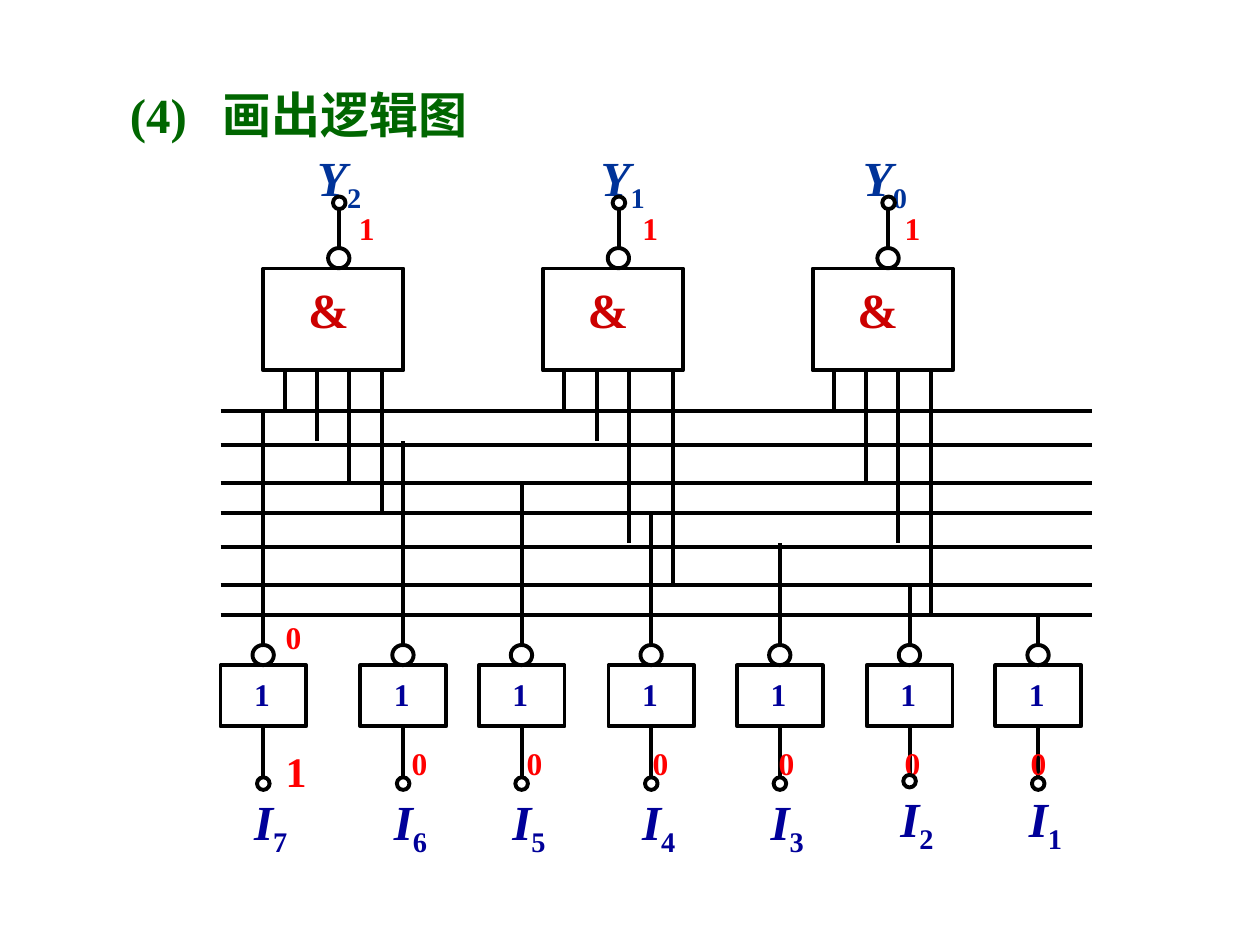
import pptx
import pptx.util
import pptx.dml.color
import pptx.enum.shapes
import pptx.enum.text
import lxml.etree
from pptx.oxml.ns import qn

Pt = pptx.util.Pt
RGB = pptx.dml.color.RGBColor.from_string
MSO_SHAPE = pptx.enum.shapes.MSO_SHAPE
COLORS = {"title": "006600", "value": "FF0000", "input": "000099",
          "output": "003399", "gate": "CC0000", "line": "000000"}

deck = pptx.Presentation()
deck.slide_width, deck.slide_height = Pt(720), Pt(540)
slide = deck.slides.add_slide(deck.slide_layouts[5])
shapes = slide.shapes


def write(text, left, top, width, height, size=18, color="value",
          subscript="", box=None):
    """Write bold text, with an italic letter when it carries a subscript."""
    if box is None:
        box = shapes.add_textbox(0, 0, 0, 0)
    box.left, box.top, box.width, box.height = Pt(left), Pt(top), Pt(width), Pt(height)
    frame = box.text_frame
    frame.word_wrap = False
    frame.auto_size = pptx.enum.text.MSO_AUTO_SIZE.NONE
    frame.vertical_anchor = pptx.enum.text.MSO_ANCHOR.TOP
    frame.margin_top = Pt(3.6 + size * 0.1)
    paragraph = frame.paragraphs[0]
    paragraph.alignment = pptx.enum.text.PP_ALIGN.LEFT
    for part in filter(None, (text, subscript)):
        run = paragraph.add_run()
        run.text = part
        run.font.name, run.font.size, run.font.bold = "Times New Roman", Pt(size), True
        run.font.color.rgb = RGB(COLORS[color])
        run.font.italic = bool(subscript) and part is text
    if subscript:
        run._r.get_or_add_rPr().set("baseline", "-25000")
    return paragraph


def wire(x1, y1, x2, y2):
    line = shapes.add_connector(pptx.enum.shapes.MSO_CONNECTOR.STRAIGHT,
                                Pt(x1), Pt(y1), Pt(x2), Pt(y2))
    line.line.color.rgb = RGB(COLORS["line"])
    line.line.width = Pt(2.25)
    lxml.etree.SubElement(line._element.spPr, qn("a:effectLst"))


# Title, with a tab stop between number and heading
heading = write("(4)\t画出逻辑图", 67, 41.8, 323, 41, size=28, color="title",
                box=shapes.title)
tabs = lxml.etree.SubElement(heading._p.get_or_add_pPr(), qn("a:tabLst"))
lxml.etree.SubElement(tabs, qn("a:tab"), pos=str(Pt(53)), algn="l")

# Bus lines, and the height at which wires reach each of them
for bus_y in (234.7, 254.2, 275.8, 293, 312.5, 334.1, 351.4):
    wire(126, bus_y, 624.2, bus_y)
taps = {7: 234.7, 6: 252, 5: 275.8, 4: 293, 3: 310.3, 2: 334.1, 1: 351.4}

outlines = []

# NAND gates: output, left edge, label left, last pin offset, inputs
gates = [("2", 150.5, 174.2, 67.7, (7, 6, 5, 4)),
         ("1", 310.3, 336.2, 74.2, (7, 6, 3, 2)),
         ("0", 464.4, 486, 67.7, (7, 5, 3, 1))]
for output, left, label_left, last_pin, inputs in gates:
    center = left + 43.2
    outlines += [(MSO_SHAPE.RECTANGLE, left, 153.4, 80, 58.3),
                 (MSO_SHAPE.OVAL, center - 6.2, 141.8, 12.2, 11.5),
                 (MSO_SHAPE.OVAL, center - 3.4, 112.3, 7.2, 7.2)]
    wire(center, 141.8, center, 118.1)
    for pin, source in zip((12.2, 30.6, 49, last_pin), inputs):
        wire(left + pin, 211.7, left + pin, taps[source])
    write("&", left + 18.5, 153.4, 43.2, 41, size=28, color="gate")
    write("Y", label_left, 77.8, 41, 41, size=28, color="output", subscript=output)
    write("1", label_left + 23.8, 113.8, 23.8, 28.1)

# Inverters: input, center, value, value left, value size, label top, terminal top
inverters = [(7, 150.5, "1", 156.2, 24, 445.7, 444.2),
             (6, 230.4, "0", 228.2, 18, 445.7, 444.2),
             (5, 298.1, "0", 293.8, 18, 445.7, 444.2),
             (4, 372.2, "0", 365.8, 18, 445.7, 444.2),
             (3, 445.7, "0", 437.8, 18, 445.7, 444.2),
             (2, 519.8, "0", 509.8, 18, 444.2, 442.8),
             (1, 593.3, "0", 581.8, 18, 444.2, 444.2)]
for number, center, value, value_left, size, label_top, terminal_top in inverters:
    outlines += [(MSO_SHAPE.RECTANGLE, center - 24.5, 380.2, 49, 34.8),
                 (MSO_SHAPE.OVAL, center - 6.2, 368.6, 12.2, 11.5),
                 (MSO_SHAPE.OVAL, center - 3.6, terminal_top, 7.2, 7.2)]
    wire(center, 368.6, center, taps[number])
    wire(center, 415.2, center, 444.2)
    write("1", center - 12.4, 380.2, 23.8, 28.1, color="input")
    write(value, value_left, 419.8, 23.8, size * 1.5, size=size)
    write("I", center - 12.4, label_top, 34.8, 41, size=28, color="input",
          subscript=str(number))
write("0", 156.2, 347.8, 23.8, 28.1)

# Gate bodies, inversion bubbles and terminals
for kind, left, top, width, height in outlines:
    outline = shapes.add_shape(kind, Pt(left), Pt(top), Pt(width), Pt(height))
    outline.shadow.inherit = False
    outline.fill.background()
    outline.line.color.rgb = RGB(COLORS["line"])
    outline.line.width = Pt(2.25)

deck.save("out.pptx")
